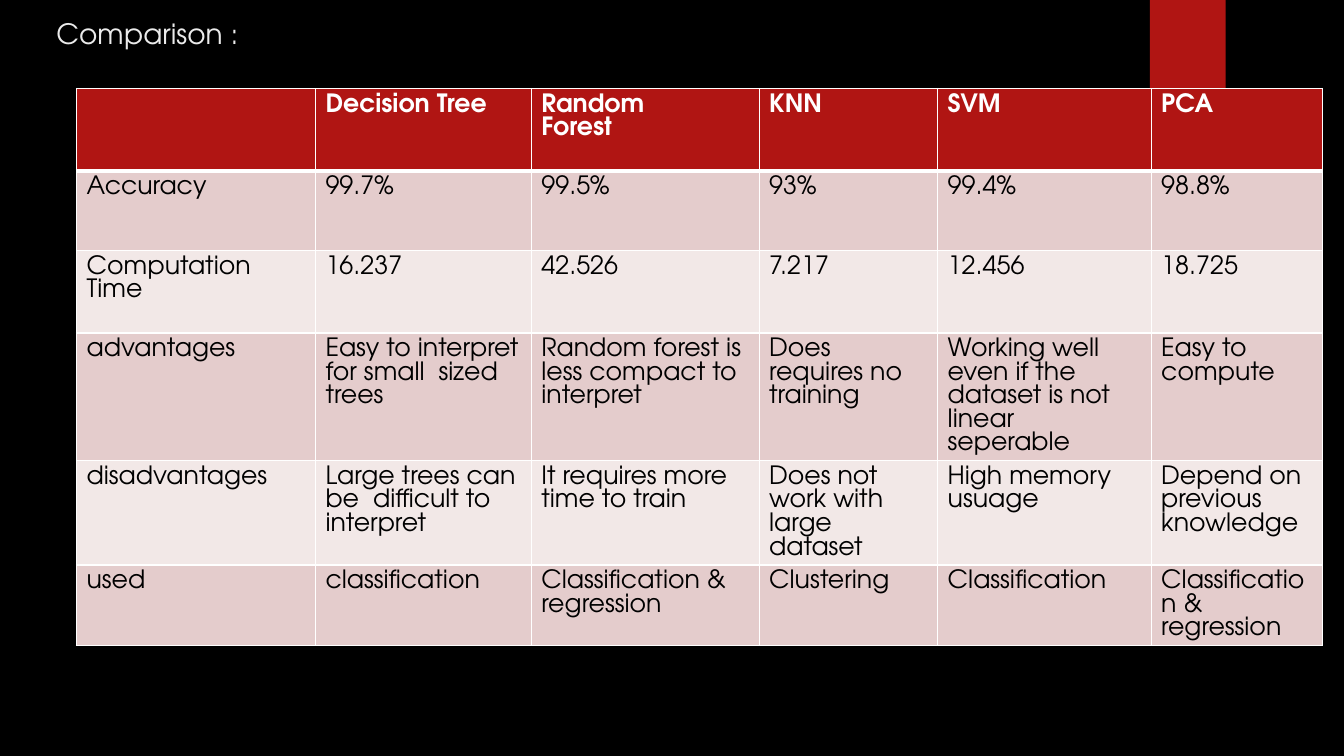
from pptx import Presentation
from pptx.dml.color import RGBColor
from pptx.enum.shapes import MSO_SHAPE as Shape
from pptx.oxml.xmlchemy import OxmlElement as Element
from pptx.util import Cm, Pt

RED, WHITE, BLACK = "B01513", "FFFFFF", "000000"
BANDS = ("E4CCCC", "F2E8E7")
COLUMN_WIDTHS = (6.02, 5.44, 5.74, 4.5, 5.38, 4.32)
ROW_HEIGHTS = (2.08, 2.0, 2.08, 2.77, 2.0, 2.0)
COMPARISON = (
    ("", "Decision Tree", "Random\nForest", "KNN", "SVM", "PCA"),
    ("Accuracy", "99.7%", "99.5%", "93%", "99.4%", "98.8%"),
    ("Computation\nTime", "16.237", "42.526", "7.217", "12.456", "18.725"),
    ("advantages", "Easy to interpret for small  sized trees",
     "Random forest is less compact to interpret",
     "Does requires no training",
     "Working well even if the dataset is not linear seperable",
     "Easy to compute"),
    ("disadvantages", "Large trees can be  difficult to interpret",
     "It requires more time to train",
     "Does not work with large dataset",
     "High memory\nusuage", "Depend on previous knowledge"),
    ("used", "classification", "Classification & regression", "Clustering",
     "Classification", "Classification & regression"),
)


def paint(fill, color):
    fill.solid()
    fill.fore_color.rgb = RGBColor.from_string(color)


def write(frame, text, font, size=18, color=BLACK, bold=False, leading=None):
    frame.word_wrap = True
    for index, line in enumerate(text.split("\n")):
        paragraph = frame.add_paragraph() if index else frame.paragraphs[0]
        paragraph.font.size = Pt(size)
        if leading:
            paragraph.line_spacing = Pt(leading)
        run = paragraph.add_run()
        run.text = line
        run.font.name = font
        run.font.size = Pt(size)
        run.font.bold = bold
        run.font.color.rgb = RGBColor.from_string(color)


def outline(cell, color, **widths):
    properties = cell._tc.get_or_add_tcPr()
    for position, side in enumerate("LRTB"):
        edge = Element(f"a:ln{side}")
        edge.set("w", str(Pt(widths.get(side, 1))))
        solid = Element("a:solidFill")
        shade = Element("a:srgbClr")
        shade.set("val", color)
        solid.append(shade)
        edge.append(solid)
        properties.insert(position, edge)


class ComparisonSlide:
    font = "TeX Gyre Adventor"

    def __init__(self, deck):
        self.slide = deck.slides.add_slide(deck.slide_layouts[6])
        paint(self.slide.background.fill, BLACK)

    def ribbon(self, left, top, width, height):
        band = self.slide.shapes.add_shape(
            Shape.RECTANGLE, Cm(left), Cm(top), Cm(width), Cm(height))
        band.shadow.inherit = False
        paint(band.fill, RED)
        band.line.fill.background()

    def title(self, text, left, top, width, height):
        heading = self.slide.shapes.add_textbox(
            Cm(left), Cm(top), Cm(width), Cm(height))
        write(heading.text_frame, text, self.font, size=20, color="EBEBEB")

    def table(self, rows, left, top):
        grid = self.slide.shapes.add_table(
            len(rows), len(rows[0]), Cm(left), Cm(top),
            Cm(sum(COLUMN_WIDTHS)), Cm(sum(ROW_HEIGHTS))).table
        for column, width in zip(grid.columns, COLUMN_WIDTHS):
            column.width = Cm(width)
        for row, height in zip(grid.rows, ROW_HEIGHTS):
            row.height = Cm(height)
        for row_index, entries in enumerate(rows):
            header = row_index == 0
            for column_index, entry in enumerate(entries):
                cell = grid.cell(row_index, column_index)
                paint(cell.fill, RED if header else BANDS[(row_index - 1) % 2])
                outline(cell, WHITE, T=3 if row_index == 1 else 1,
                        B=3 if header else 1)
                if entry:
                    write(cell.text_frame, entry, self.font, bold=header,
                          color=WHITE if header else BLACK, leading=16.8)


def main():
    deck = Presentation()
    deck.slide_width, deck.slide_height = Cm(33.87), Cm(19.05)
    page = ComparisonSlide(deck)
    page.ribbon(28.98, 0, 1.91, 3.18)
    page.title("Comparison :", 1.17, 0.28, 26.14, 3.89)
    page.table(COMPARISON, 1.93, 2.23)
    deck.save("out.pptx")


if __name__ == "__main__":
    main()
